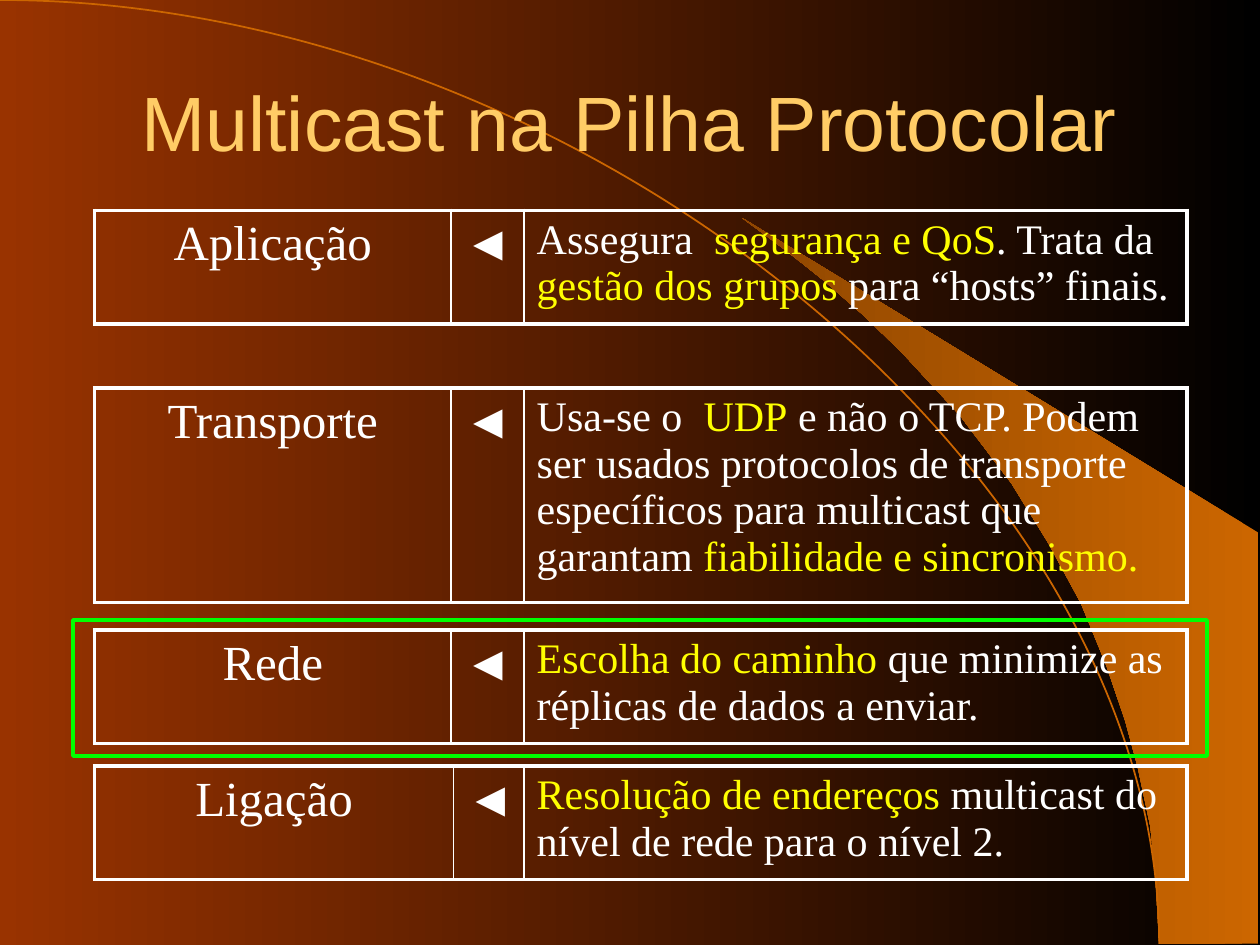
from lxml import etree
from pptx import Presentation
from pptx.dml.color import RGBColor
from pptx.enum.shapes import MSO_CONNECTOR, MSO_SHAPE
from pptx.enum.text import MSO_ANCHOR, PP_ALIGN
from pptx.oxml.ns import qn
from pptx.util import Pt

PX = 9144  # 100 px to the inch
CENTER, LEFT = PP_ALIGN.CENTER, PP_ALIGN.LEFT
MIDDLE = MSO_ANCHOR.MIDDLE
CURVE, RECT = MSO_CONNECTOR.CURVE, MSO_SHAPE.RECTANGLE
C = {"black": "000000", "rust": "993300", "orange": "CC6600", "brown": "8F4700",
     "title": "FFCC66", "white": "FFFFFF", "yellow": "FFFF00", "green": "00FF00"}
SERIF, SANS = "Times New Roman", "Arial"
THICK, THIN = 2.21, 0.96

WEDGE = [(920, 749), (999, 749), (999, 423), (589, 173), (624, 199), (653, 222),
         (685, 250), (716, 280), (762, 330), (803, 384), (832, 431), (858, 479),
         (878, 528), (893, 572), (903, 609), (913, 656), (917, 696)]

# top, height, width of the name column, layer name, runs of the description
LAYERS = [
    (167, 90, 283, "Aplicação",
     [("Assegura  ", "white"), ("segurança e QoS", "yellow"), (". Trata da ", "white"),
      ("gestão dos grupos", "yellow"), (" para “hosts” finais.", "white")]),
    (308, 170, 283, "Transporte",
     [("Usa-se o  ", "white"), ("UDP", "yellow"),
      (" e não o TCP. Podem ser usados protocolos de transporte específicos "
       "para multicast que garantam ", "white"),
      ("fiabilidade e sincronismo.", "yellow")]),
    (500, 90, 283, "Rede",
     [("Escolha do caminho", "yellow"),
      (" que minimize as réplicas de dados a enviar.", "white")]),
    (608, 90, 285, "Ligação",
     [("Resolução de endereços", "yellow"),
      (" multicast do nível de rede para o nível 2.", "white")]),
]


def px(*values):
    return [round(v * PX) for v in values]


def rgb(name):
    return RGBColor.from_string(C[name])


def fill_gradient(fill, start, end):
    """Run from start at the right to end at the left."""
    fill.gradient()
    fill.gradient_angle = 180
    for stop, name in zip(fill.gradient_stops, (start, end)):
        stop.color.rgb = rgb(name)


def write(tf, runs, size, font, align):
    p = tf.paragraphs[0]
    p.alignment = align
    for text, color in runs:
        r = p.add_run()
        r.text = text
        r.font.size, r.font.name = Pt(size), font
        r.font.color.rgb = rgb(color)


def set_borders(cell, left, right):
    tcPr = cell._tc.get_or_add_tcPr()
    for side, width in (("L", left), ("R", right), ("T", THICK), ("B", THICK)):
        ln = etree.SubElement(tcPr, qn(f"a:ln{side}"), w=str(Pt(width)))
        fill = etree.SubElement(ln, qn("a:solidFill"))
        etree.SubElement(fill, qn("a:srgbClr"), val=C["white"])


def add_backdrop(s, x, y):
    fill_gradient(s.background.fill, "black", "rust")

    points = [(x + dx, y + dy) for dx, dy in WEDGE]
    fb = s.shapes.build_freeform(*points[0], scale=PX)
    fb.add_line_segments(points[1:], close=True)
    wedge = fb.convert_to_shape()
    wedge.shadow.inherit = False
    fill_gradient(wedge.fill, "orange", "brown")
    wedge.line.fill.background()

    arc = s.shapes.add_connector(CURVE, *px(x, y, x + 920, y + 749))
    arc.line.color.rgb, arc.line.width = rgb("orange"), Pt(1)
    spPr = arc._element.spPr
    spPr.find(qn("a:prstGeom")).set("prst", "curvedConnector2")
    etree.SubElement(spPr, qn("a:effectLst"))


def add_title(s, x, y, w, h):
    tf = s.shapes.add_textbox(*px(x, y, w, h)).text_frame
    tf.word_wrap = True
    tf.vertical_anchor = MIDDLE
    write(tf, [("Multicast na Pilha Protocolar", "title")], 44, SANS, CENTER)


def add_layer(s, x, y, w, h, name_w, name, description):
    table = s.shapes.add_table(1, 3, *px(x, y, w, h)).table
    table.first_row = table.horz_banding = False
    table.rows[0].height = px(h)[0]
    arrow_w = 341 - name_w
    columns = [
        (name_w, [(name, "white")], 28, CENTER, THICK, THIN),
        (arrow_w, [("◄", "white")], 28, LEFT, THIN, THIN),
        (w - name_w - arrow_w, description, 24, LEFT, THIN, THICK),
    ]
    for i, (col_w, runs, size, align, left, right) in enumerate(columns):
        table.columns[i].width = px(col_w)[0]
        cell = table.cell(0, i)
        set_borders(cell, left, right)
        cell.fill.background()
        write(cell.text_frame, runs, size, SERIF, align)


def add_highlight(s, x, y, w, h):
    sp = s.shapes.add_shape(RECT, *px(x, y, w, h))
    sp.shadow.inherit = False
    sp.fill.background()
    sp.line.color.rgb, sp.line.width = rgb("green"), Pt(2)


def main():
    prs = Presentation()
    prs.slide_width, prs.slide_height = px(1000, 750)
    s = prs.slides.add_slide(prs.slide_layouts[6])
    add_backdrop(s, 0, 0)
    add_title(s, 75, 33, 850, 125)
    for top, height, name_w, name, description in LAYERS:
        add_layer(s, 75, top, 867, height, name_w, name, description)
    add_highlight(s, 58, 492, 900, 108)
    prs.save("out.pptx")


if __name__ == "__main__":
    main()
